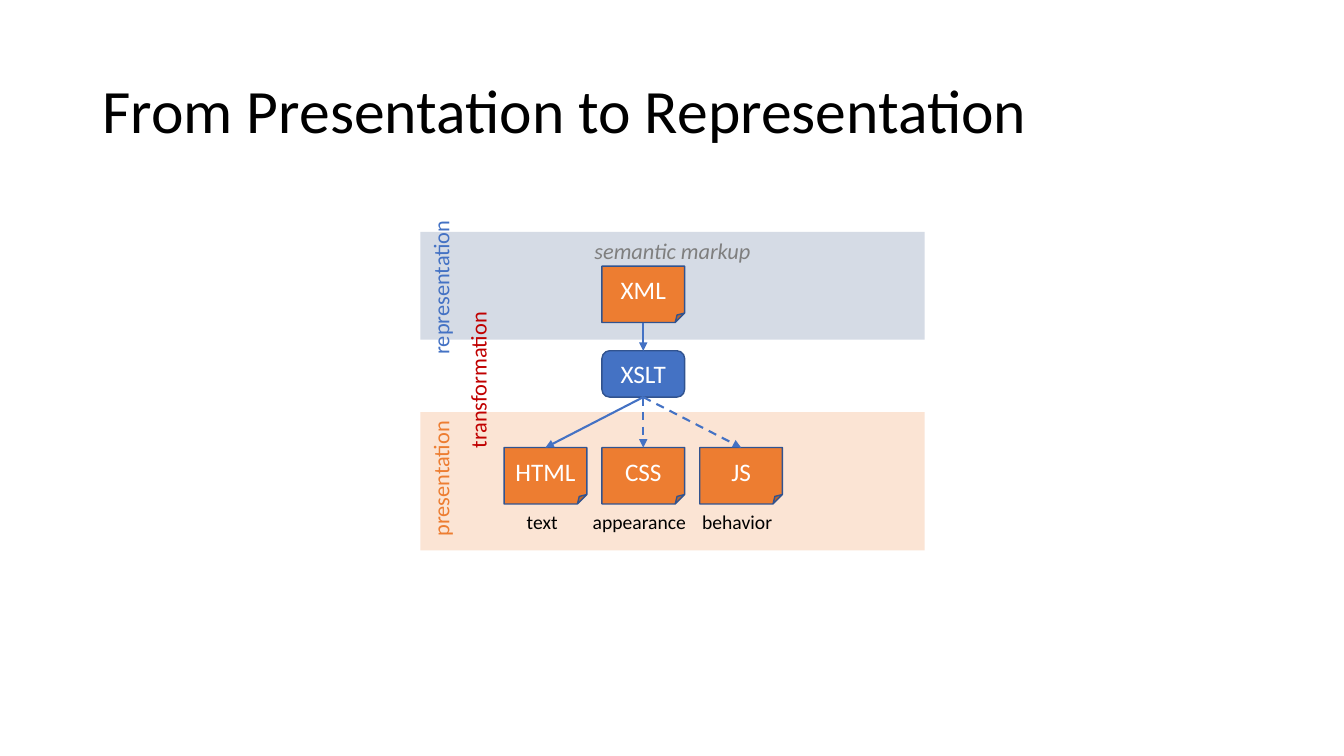
from dataclasses import dataclass
from typing import NamedTuple, Optional

from lxml.etree import SubElement
from pptx import Presentation
from pptx.dml.color import RGBColor
from pptx.enum.dml import MSO_LINE
from pptx.enum.shapes import MSO_CONNECTOR, MSO_SHAPE
from pptx.enum.text import MSO_ANCHOR, PP_ALIGN
from pptx.oxml.ns import qn
from pptx.shapes.autoshape import Shape
from pptx.shapes.connector import Connector
from pptx.shapes.shapetree import SlideShapes
from pptx.text.text import TextFrame
from pptx.util import Inches, Pt


@dataclass(frozen=True)
class Theme:
    font: str = "Calibri"
    black: str = "000000"
    white: str = "FFFFFF"
    gray: str = "7F7F7F"
    blue: str = "4472C4"
    orange: str = "ED7D31"
    red: str = "C00000"
    outline: str = "31538F"
    pale_blue: str = "D5DBE5"
    pale_orange: str = "FBE4D4"
    title_size: int = 44
    node_size: int = 18
    stage_size: int = 16
    caption_size: int = 14
    outline_width: float = 1
    arrow_width: float = 1.5


THEME = Theme()

# Diagram grid, in inches
FIRST_COLUMN, COLUMN_PITCH, NODE_WIDTH = 5.0, 0.97, 0.82
SOURCE_ROW, TRANSFORM_ROW, OUTPUT_ROW = 2.64, 3.48, 4.44
FILE_HEIGHT, TRANSFORM_HEIGHT = 0.56, 0.46
BAND_LEFT, BAND_WIDTH = 4.17, 5.0
STAGE_HEIGHT, CAPTION_HEIGHT = 0.37, 0.34
CAPTION_CENTER_Y, CAPTION_SHIFT = 5.18, -0.03
TOP, BOTTOM = 0, 2


class Box(NamedTuple):
    left: float
    top: float
    width: float
    height: float


class Band(NamedTuple):
    top: float
    height: float
    color: str
    heading: str = ""


class Node(NamedTuple):
    text: str
    column: int
    row: float
    height: float = FILE_HEIGHT
    outline: MSO_SHAPE = MSO_SHAPE.FOLDED_CORNER
    color: str = THEME.orange


class Arrow(NamedTuple):
    start: str
    end: str
    dashed: bool = False


class Stage(NamedTuple):
    text: str
    center_x: float
    center_y: float
    width: float
    color: str


class Caption(NamedTuple):
    text: str
    column: int
    width: float


BANDS = (
    Band(4.09, 1.37, THEME.pale_orange),
    Band(2.3, 1.07, THEME.pale_blue, "semantic markup"),
)
NODES = (
    Node("CSS", 1, OUTPUT_ROW),
    Node("JS", 2, OUTPUT_ROW),
    Node("HTML", 0, OUTPUT_ROW),
    Node("XML", 1, SOURCE_ROW),
    Node("XSLT", 1, TRANSFORM_ROW, TRANSFORM_HEIGHT, MSO_SHAPE.ROUNDED_RECTANGLE, THEME.blue),
)
ARROWS = (
    Arrow("XML", "XSLT"),
    Arrow("XSLT", "HTML"),
    Arrow("XSLT", "CSS", True),
    Arrow("XSLT", "JS", True),
)
STAGES = (
    Stage("representation", 4.37, 2.84, 1.55, THEME.blue),
    Stage("presentation", 4.37, 4.74, 1.36, THEME.orange),
    Stage("transformation", 4.74, 3.76, 1.57, THEME.red),
)
CAPTIONS = (
    Caption("text", 0, 0.51),
    Caption("appearance", 1, 1.14),
    Caption("behavior", 2, 0.91),
)


def column_left(column: int) -> float:
    return FIRST_COLUMN + column * COLUMN_PITCH


def centered_box(center_x: float, center_y: float, width: float, height: float) -> Box:
    return Box(center_x - width / 2, center_y - height / 2, width, height)


def write(frame: TextFrame, text: str, size: int, color: str,
          align: Optional[PP_ALIGN] = None, italic: bool = False) -> None:
    paragraph = frame.paragraphs[0]
    paragraph.alignment = align
    run = paragraph.add_run()
    run.text = text
    run.font.name = THEME.font
    run.font.size = Pt(size)
    run.font.italic = italic
    run.font.color.rgb = RGBColor.from_string(color)


def draw_shape(shapes: SlideShapes, outline: MSO_SHAPE, box: Box, color: str) -> Shape:
    """Add a filled shape with no line and no shadow."""
    shape = shapes.add_shape(outline, *map(Inches, box))
    shape.shadow.inherit = False
    shape.fill.solid()
    shape.fill.fore_color.rgb = RGBColor.from_string(color)
    shape.line.fill.background()
    return shape


def draw_label(shapes: SlideShapes, box: Box, text: str, size: int, color: str) -> Shape:
    label = shapes.add_textbox(*map(Inches, box))
    label.text_frame.word_wrap = False
    write(label.text_frame, text, size, color)
    return label


def draw_title(shapes: SlideShapes) -> None:
    title = draw_label(shapes, Box(0.92, 0.4, 11.5, 1.45),
                       "From Presentation to Representation", THEME.title_size, THEME.black)
    title.text_frame.word_wrap = True
    title.text_frame.vertical_anchor = MSO_ANCHOR.MIDDLE
    title.text_frame.paragraphs[0].line_spacing = 0.9


def draw_band(shapes: SlideShapes, band: Band) -> None:
    box = Box(BAND_LEFT, band.top, BAND_WIDTH, band.height)
    shape = draw_shape(shapes, MSO_SHAPE.RECTANGLE, box, band.color)
    if band.heading:
        shape.text_frame.vertical_anchor = MSO_ANCHOR.TOP
        write(shape.text_frame, band.heading, THEME.stage_size, THEME.gray, PP_ALIGN.CENTER, True)


def draw_node(shapes: SlideShapes, node: Node) -> Shape:
    box = Box(column_left(node.column), node.row, NODE_WIDTH, node.height)
    shape = draw_shape(shapes, node.outline, box, node.color)
    shape.line.color.rgb = RGBColor.from_string(THEME.outline)
    shape.line.width = Pt(THEME.outline_width)
    shape.text_frame.vertical_anchor = MSO_ANCHOR.MIDDLE
    write(shape.text_frame, node.text, THEME.node_size, THEME.white, PP_ALIGN.CENTER)
    return shape


def draw_arrow(shapes: SlideShapes, start: Shape, end: Shape, dashed: bool) -> Connector:
    arrow = shapes.add_connector(MSO_CONNECTOR.STRAIGHT, 0, 0, 0, 0)
    arrow.begin_connect(start, BOTTOM)
    arrow.end_connect(end, TOP)
    arrow.line.color.rgb = RGBColor.from_string(THEME.blue)
    arrow.line.width = Pt(THEME.arrow_width)
    if dashed:
        arrow.line.dash_style = MSO_LINE.DASH
    properties = arrow.element.spPr
    SubElement(properties.find(qn("a:ln")), qn("a:tailEnd"), type="triangle")
    SubElement(properties, qn("a:effectLst"))
    return arrow


def main() -> None:
    deck = Presentation()
    deck.slide_width, deck.slide_height = Inches(13.33), Inches(7.5)
    shapes = deck.slides.add_slide(deck.slide_layouts[6]).shapes
    draw_title(shapes)
    for band in BANDS:
        draw_band(shapes, band)
    nodes = {node.text: draw_node(shapes, node) for node in NODES}
    for arrow in ARROWS:
        draw_arrow(shapes, nodes[arrow.start], nodes[arrow.end], arrow.dashed)
    for stage in STAGES:
        box = centered_box(stage.center_x, stage.center_y, stage.width, STAGE_HEIGHT)
        draw_label(shapes, box, stage.text, THEME.stage_size, stage.color).rotation = 270
    for caption in CAPTIONS:
        center_x = column_left(caption.column) + NODE_WIDTH / 2 + CAPTION_SHIFT
        box = centered_box(center_x, CAPTION_CENTER_Y, caption.width, CAPTION_HEIGHT)
        draw_label(shapes, box, caption.text, THEME.caption_size, THEME.black)
    deck.save("out.pptx")


if __name__ == "__main__":
    main()
